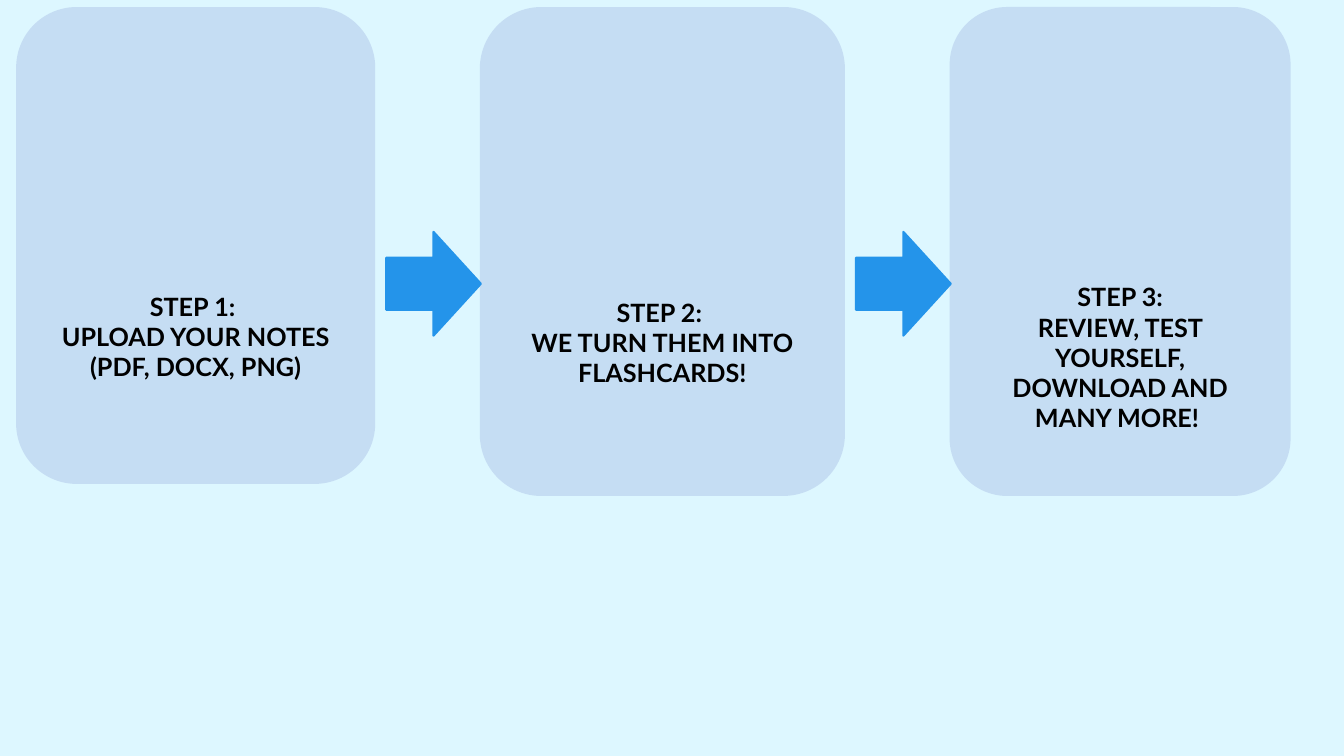
from dataclasses import dataclass

import pptx
import pptx.dml.color
import pptx.enum.shapes
import pptx.enum.text
import pptx.util

KIND = pptx.enum.shapes.MSO_SHAPE


@dataclass(frozen=True)
class Theme:
    back: str = "DDF7FF"
    card: str = "C5DDF3"
    arrow: str = "2494EA"
    ink: str = "000000"
    font: str = "Lato"
    size: float = 18
    edge: float = 1.5


@dataclass(frozen=True)
class Box:
    col: float
    row: float
    wide: float
    high: float


@dataclass(frozen=True)
class Step:
    box: Box
    drop: float  # rows kept free above the text
    lines: tuple[str, ...]


THEME = Theme()

# Grid: 100 columns by 100 rows
WIDE = pptx.util.Inches(13.33)
HIGH = pptx.util.Inches(7.5)
TOP = 1.07

STEPS = (
    Step(Box(1.28, TOP, 26.56, 62.8), 24.67,
         ("STEP 1: ", "UPLOAD YOUR NOTES", "(PDF, DOCX, PNG)")),
    Step(Box(35.78, TOP, 27.01, 64.4), 24.67,
         ("STEP 2: ", "WE TURN THEM INTO FLASHCARDS!")),
    Step(Box(70.74, TOP, 25.21, 64.4), 28.67,
         ("STEP 3:", "REVIEW, TEST YOURSELF, DOWNLOAD AND MANY MORE! ")),
)
ARROW = Box(0, 30.67, 7.05, 13.73)


def cols(count: float) -> int:
    return round(WIDE * count / 100)


def rows(count: float) -> int:
    return round(HIGH * count / 100)


def tint(code: str) -> pptx.dml.color.RGBColor:
    return pptx.dml.color.RGBColor.from_string(code)


def draw(slide, kind: KIND, box: Box, code: str):
    """Add a preset shape with fill and outline in one colour."""
    shape = slide.shapes.add_shape(
        kind, cols(box.col), rows(box.row), cols(box.wide), rows(box.high))
    shape.shadow.inherit = False
    shape.fill.solid()
    shape.fill.fore_color.rgb = tint(code)
    shape.line.color.rgb = tint(code)
    shape.line.width = pptx.util.Pt(THEME.edge)
    return shape


def card(slide, step: Step) -> None:
    frame = draw(slide, KIND.ROUNDED_RECTANGLE, step.box, THEME.card).text_frame
    frame.word_wrap = True
    frame.vertical_anchor = pptx.enum.text.MSO_ANCHOR.MIDDLE
    frame.margin_top = rows(step.drop)
    for i, line in enumerate(step.lines):
        para = frame.add_paragraph() if i else frame.paragraphs[0]
        para.text = line
        para.alignment = pptx.enum.text.PP_ALIGN.CENTER
        para.font.name = THEME.font
        para.font.size = pptx.util.Pt(THEME.size)
        para.font.bold = True
        para.font.color.rgb = tint(THEME.ink)


def arrow(slide, step: Step) -> None:
    """Add an arrow whose tip touches the left side of a card."""
    box = Box(step.box.col - ARROW.wide, ARROW.row, ARROW.wide, ARROW.high)
    draw(slide, KIND.RIGHT_ARROW, box, THEME.arrow)


def main() -> None:
    deck = pptx.Presentation()
    deck.slide_width, deck.slide_height = WIDE, HIGH
    slide = deck.slides.add_slide(deck.slide_layouts[6])

    # Background
    slide.background.fill.solid()
    slide.background.fill.fore_color.rgb = tint(THEME.back)

    # Cards, then the arrows between them
    for step in STEPS:
        card(slide, step)
    for step in STEPS[1:]:
        arrow(slide, step)

    deck.save("out.pptx")


if __name__ == "__main__":
    main()
